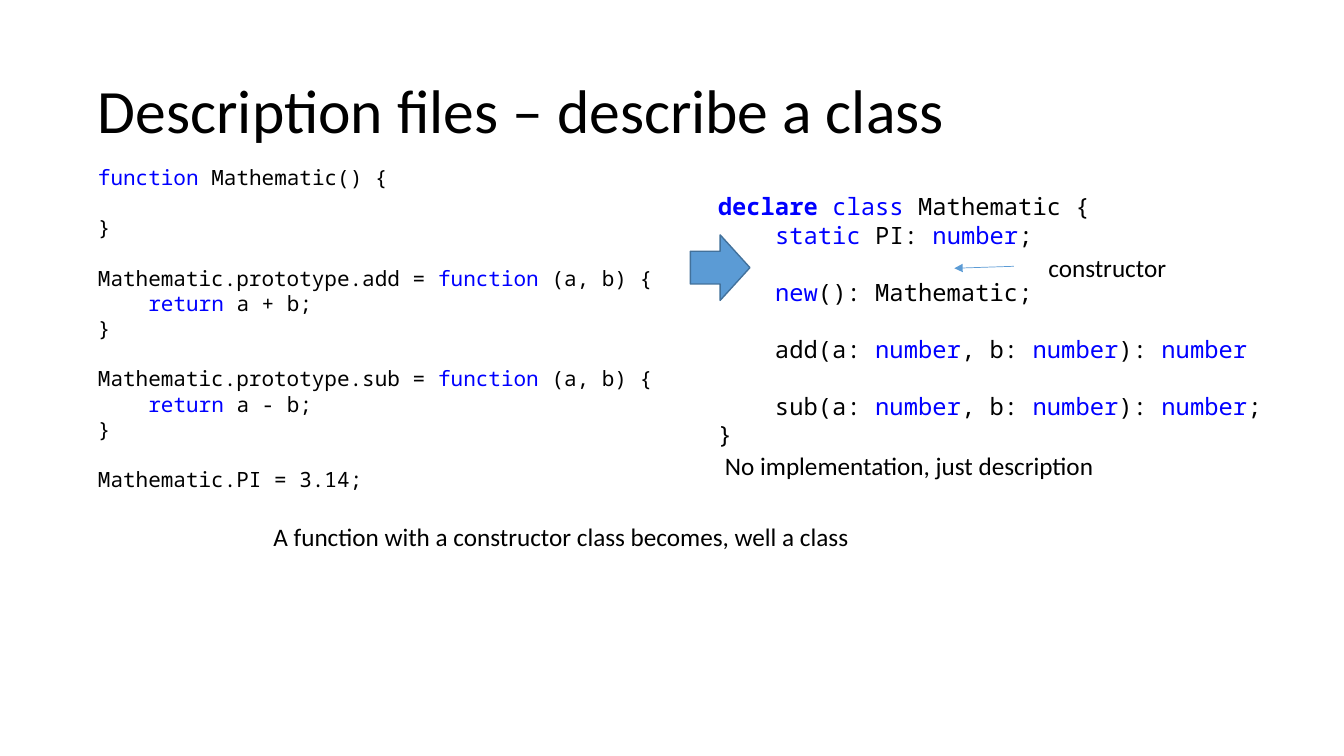
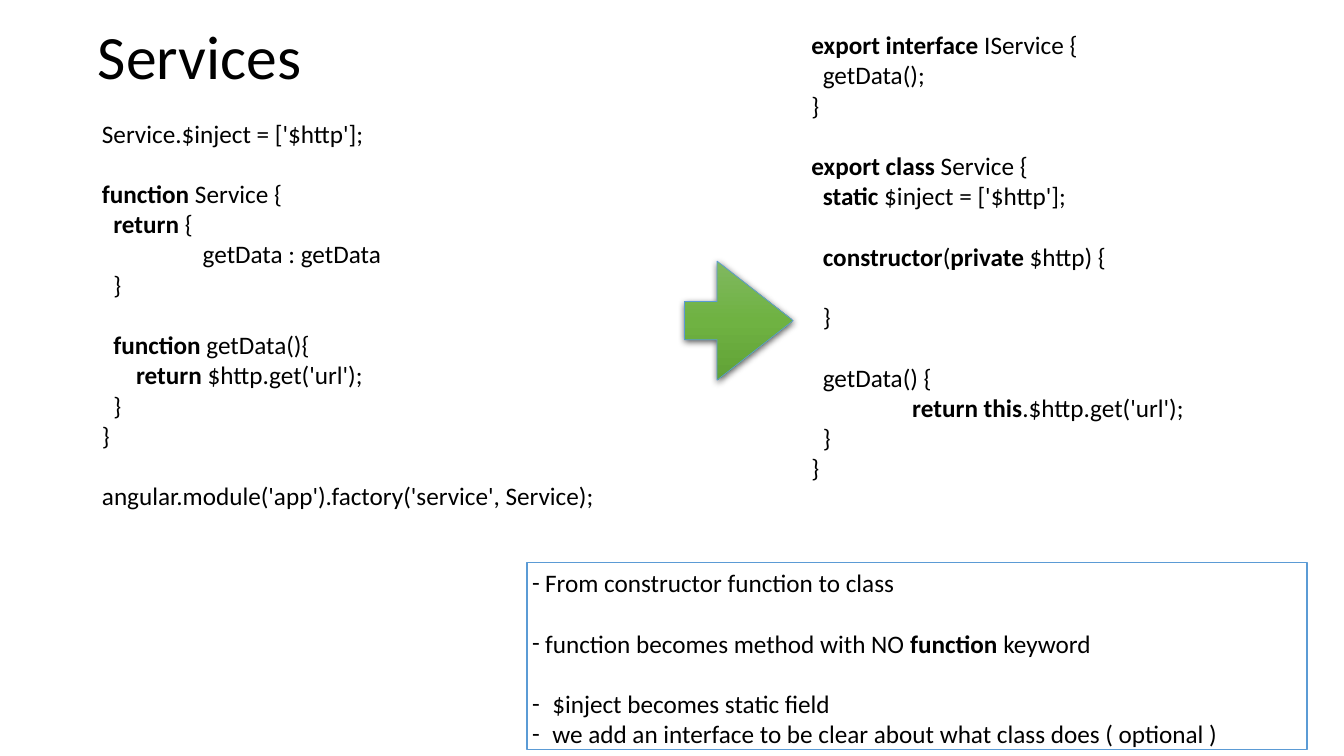
"""Build two slides that turn constructor functions into typed classes."""
from lxml.etree import SubElement
from pptx import Presentation
from pptx.dml.color import RGBColor
from pptx.enum.shapes import MSO_CONNECTOR, MSO_SHAPE
from pptx.enum.text import MSO_ANCHOR, PP_ALIGN
from pptx.oxml.ns import qn
from pptx.util import Cm, Pt

COLORS = {
    "text": "000000", "keyword": "0000FF", "paper": "FFFFFF",
    "blue": "5B9BD5", "edge": "42719B",
    "green_light": "80B860", "green": "6FB242", "green_dark": "61A236",
}
SANS, MONO = "Calibri", "Noto Sans Mono"
LEADING = 1.2
TITLE_LEFT, TITLE_WIDTH, TITLE_HEIGHT = 2.34, 29.21, 2.9

# Within a line, | switches the keyword colour and * switches bold.
DESCRIPTION = {
    "title": ("Description files – describe a class", 1.41),
    "texts": [
        ((2.34, 4.01, 16.94, 8.51), MONO, 15, [
            "|function| Mathematic() {",
            "",
            "}",
            "",
            "Mathematic.prototype.add = |function| (a, b) {",
            "    |return| a + b;",
            "}",
            "",
            "Mathematic.prototype.sub = |function| (a, b) {",
            "    |return| a - b;",
            "}",
            "",
            "Mathematic.PI = 3.14;",
        ]),
        ((17.96, 4.7, 15.6, 6.6), MONO, 17, [
            "|*declare *class| Mathematic {",
            "    |static| PI: |number|;",
            "",
            "    |new|(): Mathematic;",
            "",
            "    add(a: |number|, b: |number|): |number|",
            "",
            "    sub(a: |number|, b: |number|): |number|;",
            "}",
        ]),
        ((6.76, 13, 16.51, 0.99), SANS, 18,
         ["A function with a constructor class becomes, well a class"]),
        ((18.14, 11.23, 10.62, 0.99), SANS, 18,
         ["No implementation, just description"]),
        ((26.29, 6.22, 3.56, 0.99), SANS, 18, ["constructor"]),
    ],
}
SERVICES = {
    "title": ("Services", 0.04),
    "texts": [
        ((2.44, 2.84, 14.02, 9.88), SANS, 18, [
            "Service.$inject = ['$http'];",
            "",
            "*function* Service {",
            "  *return* {",
            "  \tgetData : getData",
            "  }",
            "",
            "  *function* getData(){",
            "      *return* $http.get('url');",
            "  }",
            "}",
            "",
            "angular.module('app').factory('service', Service);",
        ]),
        ((20.32, 0.61, 10.82, 12.12), SANS, 18, [
            "*export interface* IService {",
            "  getData();",
            "}",
            "",
            "*export class* Service {",
            "  *static* $inject = ['$http'];",
            "",
            "  *constructor*(*private* $http) {",
            "",
            "  }",
            "",
            "  getData() {",
            "  \t*return this*.$http.get('url');",
            "  }",
            "}",
        ]),
    ],
}
SUMMARY = [
    "From constructor function to class",
    "",
    "function becomes method with NO *function* keyword",
    "",
    "$inject becomes static field",
    "we add an interface to be clear about what class does ( optional )",
]
SUMMARY_INDENTS = (0.33, 0.33, 0.51, 0.51)


def rgb(name):
    return RGBColor.from_string(COLORS[name])


def add_runs(p, text, font, size):
    for i, part in enumerate(text.split("|")):
        for j, piece in enumerate(part.split("*")):
            if piece:
                r = p.add_run()
                r.text = piece
                r.font.name, r.font.size = font, Pt(size)
                r.font.bold = j % 2 == 1
                r.font.color.rgb = rgb("keyword" if i % 2 else "text")


def fill_text(tf, lines, font, size, indents=()):
    tf.word_wrap = True
    tf.margin_left = tf.margin_right = Cm(0.13)
    tf.margin_top = tf.margin_bottom = Cm(0.13)
    gap = count = 0
    for line in lines:
        if not line:
            gap += 1
            continue
        p = tf.add_paragraph() if count else tf.paragraphs[0]
        p.alignment = PP_ALIGN.LEFT
        pPr = p._p.get_or_add_pPr()
        if gap:
            p.space_before = Pt(gap * size * LEADING)
        if indents:
            indent = Cm(indents[count])
            pPr.set("marL", str(indent))
            pPr.set("indent", str(-indent))
            SubElement(pPr, qn("a:buFont"), typeface=font)
            SubElement(pPr, qn("a:buChar"), char="-")
        if "\t" in line:
            tabs = SubElement(pPr, qn("a:tabLst"))
            SubElement(tabs, qn("a:tab"), pos=str(Cm(2.54)), algn="l")
        add_runs(p, line, font, size)
        count += 1
        gap = 0


def add_text(s, box, font, size, lines):
    tf = s.shapes.add_textbox(*map(Cm, box)).text_frame
    fill_text(tf, lines, font, size)
    return tf


def add_shape(s, kind, box, fill, line, width):
    sp = s.shapes.add_shape(kind, *map(Cm, box))
    sp.shadow.inherit = False
    sp.fill.solid()
    sp.fill.fore_color.rgb = rgb(fill)
    sp.line.color.rgb = rgb(line)
    sp.line.width = Pt(width)
    return sp


def add_content(prs, content):
    s = prs.slides.add_slide(prs.slide_layouts[6])
    title, top = content["title"]
    box = (TITLE_LEFT, top, TITLE_WIDTH, TITLE_HEIGHT)
    tf = add_text(s, box, SANS, 44, [title])
    tf.vertical_anchor = MSO_ANCHOR.MIDDLE
    tf.paragraphs[0].line_spacing = 0.9
    for text in content["texts"]:
        add_text(s, *text)
    return s


def add_pointer(s, start, end):
    line = s.shapes.add_connector(MSO_CONNECTOR.STRAIGHT, *map(Cm, start + end))
    line.line.color.rgb = rgb("blue")
    line.line.width = Pt(0.5)
    SubElement(line.line._get_or_add_ln(), qn("a:tailEnd"), type="triangle")
    SubElement(line._element.spPr, qn("a:effectLst"))


def shade_green(sp):
    sp.fill.gradient()
    sp.fill.gradient_angle = 270
    spPr = sp._element.spPr
    stops = spPr.find(qn("a:gradFill")).find(qn("a:gsLst"))
    for stop in list(stops):
        stops.remove(stop)
    for pos, name in ((0, "green_light"), (50, "green"), (100, "green_dark")):
        stop = SubElement(stops, qn("a:gs"), pos=str(pos * 1000))
        SubElement(stop, qn("a:srgbClr"), val=COLORS[name])
    shadow = SubElement(spPr.find(qn("a:effectLst")), qn("a:outerShdw"),
                        blurRad=str(Pt(5)), dist=str(Pt(1.5)),
                        dir="5400000", rotWithShape="0")
    color = SubElement(shadow, qn("a:srgbClr"), val=COLORS["text"])
    SubElement(color, qn("a:alpha"), val="63000")


def main():
    prs = Presentation()
    prs.slide_width, prs.slide_height = Cm(33.87), Cm(19.05)

    s = add_content(prs, DESCRIPTION)
    add_shape(s, MSO_SHAPE.RIGHT_ARROW, (17.4, 5.92, 1.5, 1.65), "blue", "edge", 1)
    add_pointer(s, (25.55, 6.71), (24.05, 6.76))

    s = add_content(prs, SERVICES)
    arrow = add_shape(s, MSO_SHAPE.RIGHT_ARROW, (17.25, 6.58, 2.74, 3),
                      "green", "blue", 0.5)
    arrow.adjustments[0], arrow.adjustments[1] = 0.32, 0.7
    shade_green(arrow)
    panel = add_shape(s, MSO_SHAPE.RECTANGLE, (13.28, 14.17, 19.66, 4.72),
                      "paper", "blue", 1)
    panel.text_frame.vertical_anchor = MSO_ANCHOR.TOP
    fill_text(panel.text_frame, SUMMARY, SANS, 18, SUMMARY_INDENTS)

    prs.save("out.pptx")


if __name__ == "__main__":
    main()
